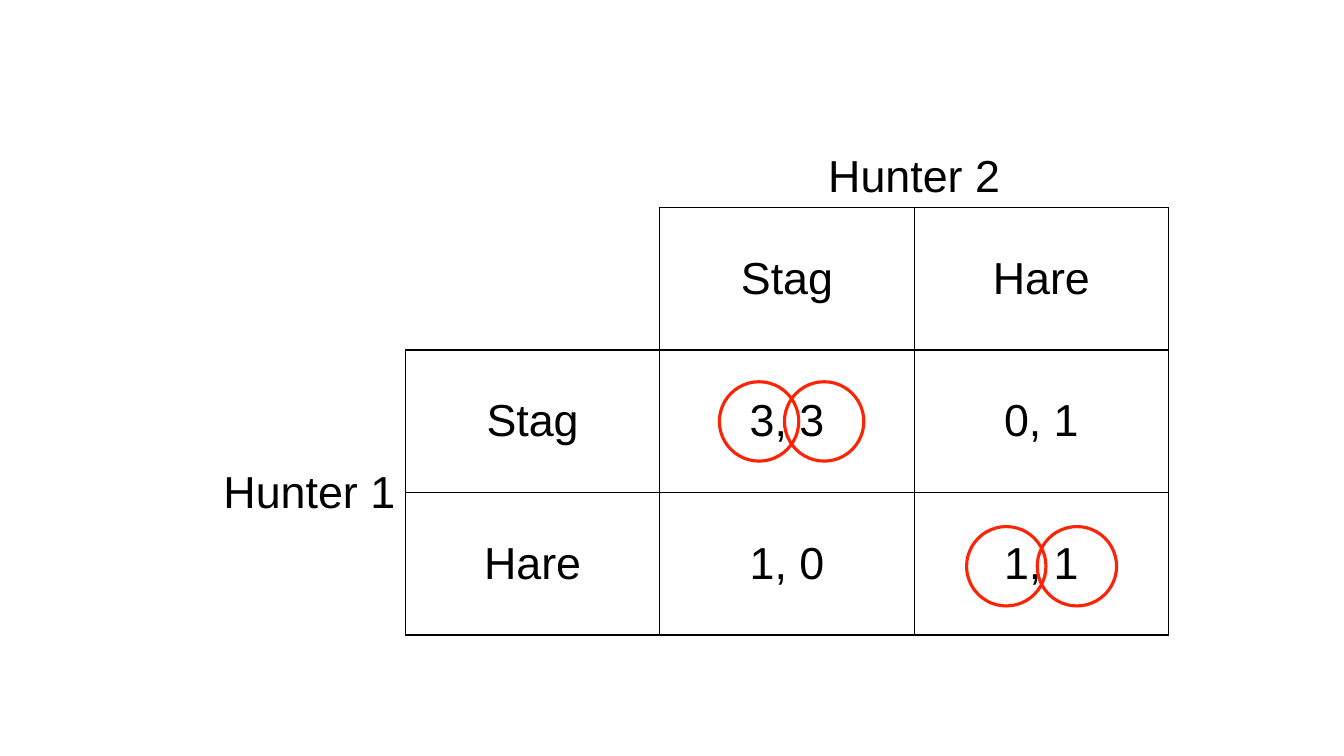
from lxml import etree
from pptx import Presentation
from pptx.dml.color import RGBColor
from pptx.enum import shapes, text
from pptx.oxml.ns import qn
from pptx.util import Cm, Pt

BLACK = RGBColor(0x00, 0x00, 0x00)
RED = RGBColor(0xFF, 0x23, 0x05)
NO_GRID_STYLE = "{2D5ABB26-0587-4C30-8999-92F81FD0307C}"

PAYOFFS = [
    ["", "", "Hunter 2", ""],
    ["", "", "Stag", "Hare"],
    ["Hunter 1", "Stag", "3, 3", "0, 1"],
    ["", "Hare", "1, 0", "1, 1"],
]
EDGES = [
    ["", "", "B", "B"],
    ["", "RB", "LRTB", "LRTB"],
    ["R", "LRTB", "LRTB", "LRTB"],
    ["R", "LRTB", "LRTB", "LRTB"],
]
COL_WIDTHS = [Cm(5.77)] + [Cm(6.41)] * 3
ROW_HEIGHTS = [Cm(2.21)] + [Cm(3.59)] * 3


def set_borders(cell, edges):
    tcPr = cell._tc.get_or_add_tcPr()
    for side in "LRTB":
        ln = etree.SubElement(tcPr, qn(f"a:ln{side}"), w=str(Pt(1)))
        if side in edges:
            fill = etree.SubElement(ln, qn("a:solidFill"))
            etree.SubElement(fill, qn("a:srgbClr"), val=str(BLACK))
        else:
            etree.SubElement(ln, qn("a:noFill"))


def set_text(cell, words, align, anchor):
    cell.vertical_anchor = anchor
    p = cell.text_frame.paragraphs[0]
    p.text = words
    p.alignment = align
    p.font.size = Pt(32)
    p.font.name = "Arial"
    p.font.color.rgb = BLACK


def add_payoff_table(s):
    frame = s.shapes.add_table(4, 4, Cm(4.45), Cm(3.02),
                               sum(COL_WIDTHS), sum(ROW_HEIGHTS))
    table = frame.table
    table.first_row = table.horz_banding = False
    table._tbl.tblPr.find(qn("a:tableStyleId")).text = NO_GRID_STYLE
    for column, width in zip(table.columns, COL_WIDTHS):
        column.width = width
    for row, height in zip(table.rows, ROW_HEIGHTS):
        row.height = height
    for i, row in enumerate(PAYOFFS):
        for j, words in enumerate(row):
            cell = table.cell(i, j)
            set_borders(cell, EDGES[i][j])
            cell.fill.background()
            if words:
                align = text.PP_ALIGN.CENTER if j else text.PP_ALIGN.RIGHT
                anchor = text.MSO_ANCHOR.MIDDLE if i else text.MSO_ANCHOR.BOTTOM
                set_text(cell, words, align, anchor)
    table.cell(0, 2).merge(table.cell(0, 3))
    table.cell(2, 0).merge(table.cell(3, 0))


def add_ring(s, left, top):
    sp = s.shapes.add_shape(shapes.MSO_SHAPE.OVAL, left, top, Cm(2), Cm(2))
    sp.shadow.inherit = False
    sp.fill.background()
    sp.line.color.rgb = RED
    sp.line.width = Pt(2.25)


def main():
    prs = Presentation()
    prs.slide_width, prs.slide_height = Cm(33.87), Cm(19.05)
    s = prs.slides.add_slide(prs.slide_layouts[6])
    add_payoff_table(s)
    for left, top in [(18.13, 9.62), (24.36, 13.27), (19.77, 9.62), (26.14, 13.27)]:
        add_ring(s, Cm(left), Cm(top))
    prs.save("out.pptx")


if __name__ == "__main__":
    main()
